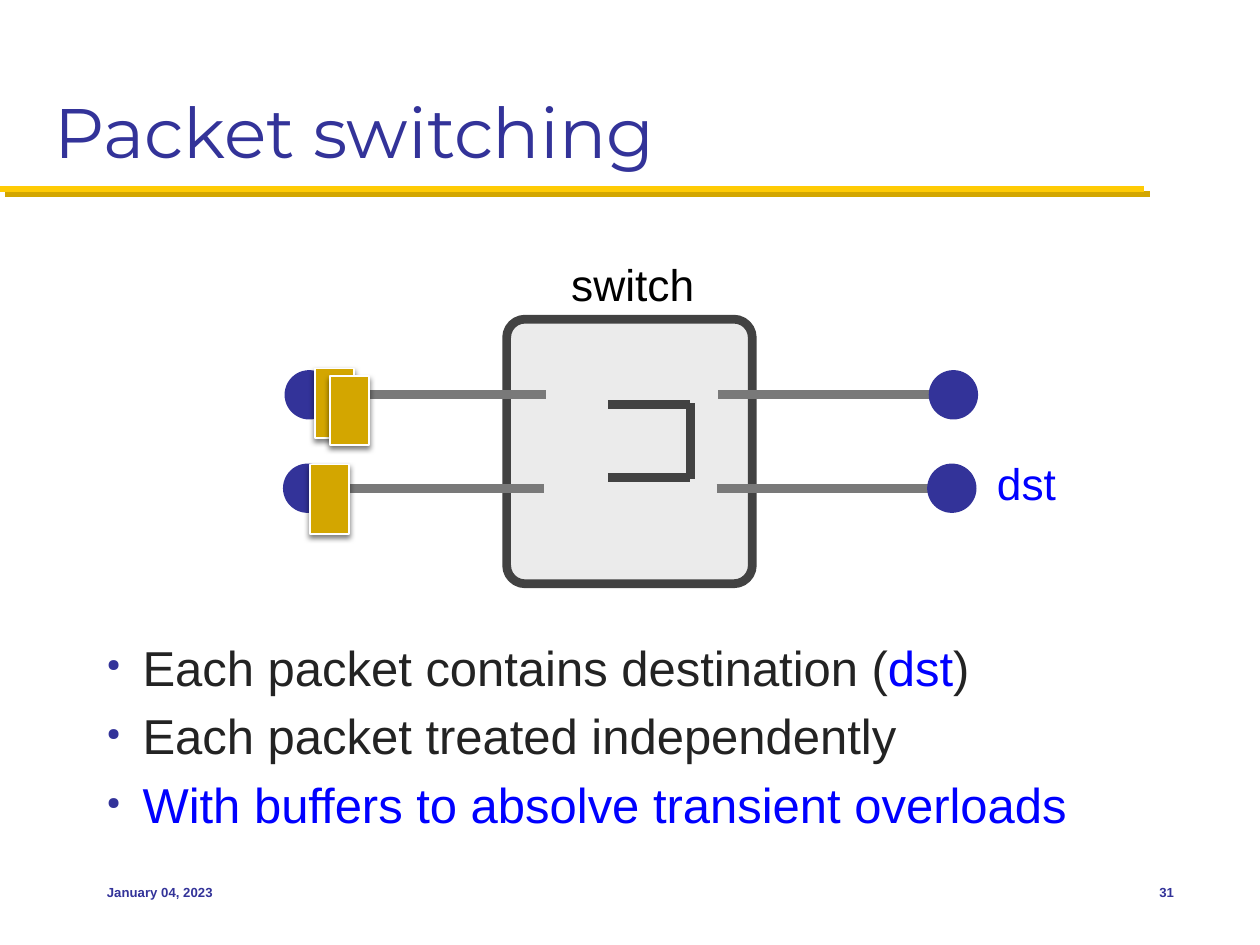
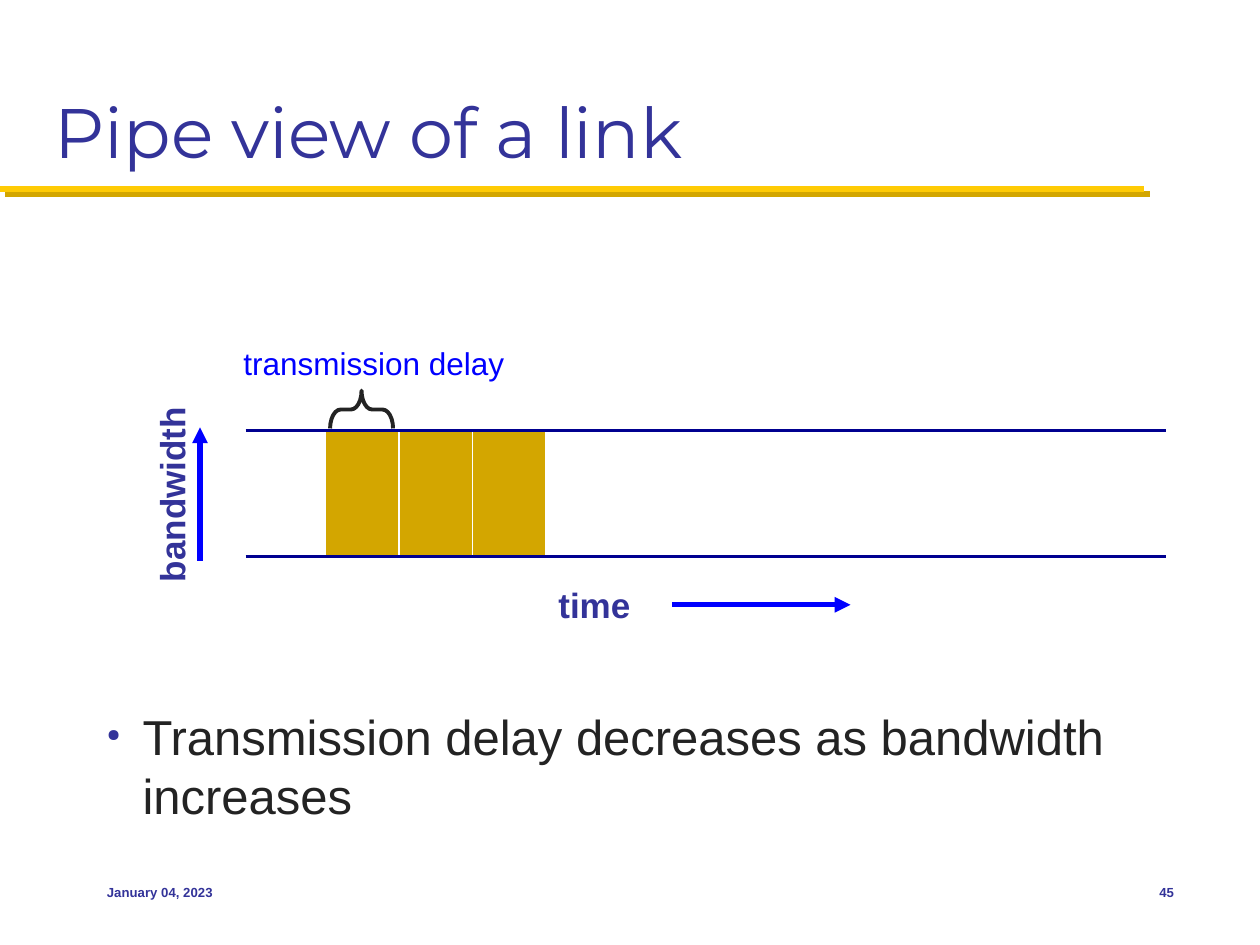
"""Build two networking slides: packet switching and the pipe view of a link."""
from dataclasses import dataclass, field
from typing import Any, NamedTuple, Optional

from lxml.etree import SubElement
from pptx import Presentation
from pptx.dml.color import RGBColor
from pptx.enum.shapes import MSO_CONNECTOR, MSO_SHAPE
from pptx.enum.text import MSO_ANCHOR, PP_ALIGN
from pptx.oxml.ns import qn
from pptx.util import Inches, Length, Pt

COLORS = {
    "title": "333399", "body": "232323", "accent": "0000FF", "black": "000000",
    "white": "FFFFFF", "band": "FFCB05", "packet": "D3A600", "link": "797979",
    "frame": "424242", "switch": "EBEBEB", "pipe": "000090",
}
WIDTH, HEIGHT = Inches(10), Inches(7.5)
COLS, ROWS = 120, 90
BODY_ROW, BODY_ROW_PITCH = 60.1, 6.6


class Box(NamedTuple):
    """Position and size in grid columns and rows."""
    col: float
    row: float
    cols: float
    rows: float


class Shadow(NamedTuple):
    """Outer shadow: colour, opacity in percent, blur and distance in points, angle."""
    color: str
    alpha: int
    blur: float
    dist: float
    angle: int


class Run(NamedTuple):
    """Piece of bullet text in one colour."""
    text: str
    color: str = "body"


@dataclass
class Line:
    """Straight line between two grid points."""
    start: tuple[float, float]
    end: tuple[float, float]
    color: str
    width: float
    arrow: bool = False
    shadow: Optional[Shadow] = None


@dataclass
class Block:
    """Preset shape with its fill, outline and shadow."""
    kind: MSO_SHAPE
    box: Box
    fill: Optional[str] = None
    line: Optional[str] = None
    width: float = 1
    adj: list[float] = field(default_factory=list)
    rotation: float = 0
    shadow: Optional[Shadow] = None


@dataclass
class Label:
    """Single-line text box."""
    text: str
    box: Box
    size: float
    color: str = "title"
    bold: bool = False
    rotation: float = 0
    inset: tuple[float, float] = (1.2, 0.6)
    anchor: MSO_ANCHOR = MSO_ANCHOR.TOP
    align: PP_ALIGN = PP_ALIGN.LEFT


BAND = Line((0, 18), (109, 18), "band", 3.5, shadow=Shadow("packet", 100, 0, 4.2, 45))
PACKET_SHADOW = Shadow("black", 50, 3, 2, 90)


def x(cols: float) -> Length:
    """Turn grid columns into a length."""
    return Length(round(WIDTH * cols / COLS))


def y(rows: float) -> Length:
    """Turn grid rows into a length."""
    return Length(round(HEIGHT * rows / ROWS))


def place(box: Box) -> tuple[Length, Length, Length, Length]:
    """Turn a grid box into left, top, width and height."""
    return x(box.col), y(box.row), x(box.cols), y(box.rows)


def rgb(name: str) -> RGBColor:
    """Look up a colour by its name."""
    return RGBColor.from_string(COLORS[name])


def fmt(obj: Any, values: dict[str, Any]) -> None:
    """Set every attribute listed in a dict."""
    for name, value in values.items():
        setattr(obj, name, value)


def style_run(r: Any, size: float, color: str, bold: bool = False,
              font: str = "Arial") -> None:
    """Format the font of a run."""
    fmt(r.font, {"name": font, "size": Pt(size), "bold": bold})
    r.font.color.rgb = rgb(color)


def style_frame(tf: Any, anchor: MSO_ANCHOR, inset: tuple[float, float],
                wrap: bool) -> None:
    """Set wrapping, anchor and margins of a text frame."""
    dx, dy = x(inset[0]), y(inset[1])
    fmt(tf, {"word_wrap": wrap, "vertical_anchor": anchor, "margin_left": dx,
             "margin_right": dx, "margin_top": dy, "margin_bottom": dy})


def set_shadow(shape: Any, shadow: Optional[Shadow]) -> None:
    """Replace the theme shadow by the given one or by none."""
    sp_pr = shape._element.spPr
    effects = sp_pr.find(qn("a:effectLst"))
    if effects is None:
        effects = SubElement(sp_pr, qn("a:effectLst"))
    if shadow:
        outer = SubElement(effects, qn("a:outerShdw"), {
            "blurRad": str(Pt(shadow.blur)), "dist": str(Pt(shadow.dist)),
            "dir": str(shadow.angle * 60000), "algn": "ctr", "rotWithShape": "0"})
        clr = SubElement(outer, qn("a:srgbClr"), {"val": COLORS[shadow.color]})
        SubElement(clr, qn("a:alpha"), {"val": str(shadow.alpha * 1000)})


def add_line(s: Any, line: Line) -> None:
    """Draw a straight line, with an arrowhead if asked for."""
    (x1, y1), (x2, y2) = line.start, line.end
    c = s.shapes.add_connector(MSO_CONNECTOR.STRAIGHT, x(x1), y(y1), x(x2), y(y2))
    c.line.color.rgb = rgb(line.color)
    c.line.width = Pt(line.width)
    if line.arrow:
        SubElement(c.line._get_or_add_ln(), qn("a:tailEnd"), {"type": "triangle"})
    set_shadow(c, line.shadow)


def add_block(s: Any, block: Block) -> None:
    """Draw a preset shape."""
    sp = s.shapes.add_shape(block.kind, *place(block.box))
    sp.shadow.inherit = False
    sp.rotation = block.rotation
    for i, value in enumerate(block.adj):
        sp.adjustments[i] = value
    if block.fill:
        sp.fill.solid()
        sp.fill.fore_color.rgb = rgb(block.fill)
    else:
        sp.fill.background()
    if block.line:
        sp.line.color.rgb = rgb(block.line)
        sp.line.width = Pt(block.width)
    else:
        sp.line.fill.background()
    set_shadow(sp, block.shadow)


def add_label(s: Any, label: Label) -> None:
    """Write a label."""
    sp = s.shapes.add_textbox(*place(label.box))
    sp.rotation = label.rotation
    style_frame(sp.text_frame, label.anchor, label.inset, False)
    p = sp.text_frame.paragraphs[0]
    p.alignment = label.align
    r = p.add_run()
    r.text = label.text
    style_run(r, label.size, label.color, label.bold)


def add_bullets(s: Any, first_row: float, bullets: list[list[Run]]) -> None:
    """Write the bulleted text down to the foot of the body area."""
    sp = s.shapes.add_textbox(*place(Box(9, first_row, 104, 79 - first_row)))
    tf = sp.text_frame
    style_frame(tf, MSO_ANCHOR.TOP, (1.2, 0.6), True)
    for i, runs in enumerate(bullets):
        p = tf.add_paragraph() if i else tf.paragraphs[0]
        fmt(p, {"line_spacing": 1.0, "space_before": Pt(5.6 if i else 0)})
        p_pr = p._p.get_or_add_pPr()
        indent = x(3.4)
        p_pr.set("marL", str(indent))
        p_pr.set("indent", str(-indent))
        clr = SubElement(p_pr, qn("a:buClr"))
        SubElement(clr, qn("a:srgbClr"), {"val": COLORS["title"]})
        SubElement(p_pr, qn("a:buSzPct"), {"val": "35000"})
        SubElement(p_pr, qn("a:buChar"), {"char": "●"})
        for run in runs:
            r = p.add_run()
            r.text = run.text
            style_run(r, 28, run.color)


def add_slide(prs: Any, title: str, number: int) -> Any:
    """Add a slide with the shared band, title, date and number."""
    s = prs.slides.add_slide(prs.slide_layouts[5])
    add_line(s, BAND)
    sp = s.shapes.title
    fmt(sp, dict(zip(("left", "top", "width", "height"), place(Box(4, 2, 112, 15)))))
    style_frame(sp.text_frame, MSO_ANCHOR.BOTTOM, (1.2, 0.6), True)
    p = sp.text_frame.paragraphs[0]
    p.alignment = PP_ALIGN.LEFT
    r = p.add_run()
    r.text = title
    style_run(r, 40, "title", font="Montserrat")
    for text, box, align in (("January 04, 2023", Box(9, 82, 25, 6), PP_ALIGN.LEFT),
                             (str(number), Box(105, 82, 8, 6), PP_ALIGN.RIGHT)):
        add_label(s, Label(text, box, 7.5, bold=True, anchor=MSO_ANCHOR.MIDDLE,
                           align=align))
    return s


def packet_switching(prs: Any) -> None:
    """Draw a switch with two hosts on each side and queued packets."""
    s = add_slide(prs, "Packet switching", 31)
    add_block(s, Block(MSO_SHAPE.ROUNDED_RECTANGLE, Box(48.25, 30.4, 23.4, 25.2),
                       "switch", "frame", 5, [0.075]))
    d = 4.7
    for row, shift in ((37.6, 0), (46.5, -0.15)):
        for start, end, host in ((30, 52, 29.45), (68.4, 90.2, 90.8)):
            add_line(s, Line((start + shift, row), (end + shift, row), "link", 5))
            add_block(s, Block(MSO_SHAPE.OVAL,
                               Box(host + shift - d / 2, row - d / 2, d, d), "title"))
    for col, row in ((30, 35.1), (31.4, 35.8), (29.5, 44.25)):
        add_block(s, Block(MSO_SHAPE.RECTANGLE, Box(col, row, 3.75, 6.6), "packet",
                           "white", 1, shadow=PACKET_SHADOW))
    for text, box, color in (("switch", Box(53.9, 24, 13.5, 6), "black"),
                             ("dst", Box(94.45, 43, 7.5, 6), "accent")):
        add_label(s, Label(text, box, 25.3, color, inset=(0.5, 0.5),
                           anchor=MSO_ANCHOR.MIDDLE))
    left, right, top, bottom = 57.9, 65.75, 38.5, 45.5
    for start, end in (((right, bottom + 0.1), (right, top - 0.1)),
                       ((left, top), (right, top)),
                       ((left, bottom), (right, bottom))):
        add_line(s, Line(start, end, "frame", 5))
    add_bullets(s, BODY_ROW, [
        [Run("Each packet contains destination ("), Run("dst", "accent"), Run(")")],
        [Run("Each packet treated independently")],
        [Run("With buffers to absolve transient overloads", "accent")],
    ])


def pipe_view(prs: Any) -> None:
    """Draw a link as a pipe with bandwidth and time as its axes."""
    s = add_slide(prs, "Pipe view of a link", 45)
    top, bottom, first, width = 41, 53, 31, 7
    for i in range(3):
        add_block(s, Block(MSO_SHAPE.RECTANGLE,
                           Box(first + i * width, top, width, bottom - top),
                           "packet", "white", 0.75))
    for row in (top, bottom):
        add_line(s, Line((23.4, row), (111, row), "pipe", 2.25))
    for start, end in (((64, 57.6), (81, 57.6)), ((19.05, 53.4), (19.05, 40.7))):
        add_line(s, Line(start, end, "accent", 3, arrow=True))
    add_block(s, Block(MSO_SHAPE.RIGHT_BRACE, Box(32.64, 36, 3.6, 6), line="body",
                       width=2.25, adj=[0.28, 0.5], rotation=270))
    for label in (
        Label("time", Box(52, 55, 9.4, 5.25), 20, bold=True),
        Label("bandwidth", Box(6.75, 44.4, 19.2, 5.25), 20, bold=True, rotation=270),
        Label("transmission delay", Box(22, 32.2, 27.5, 4.8), 18, "accent"),
    ):
        add_label(s, label)
    add_bullets(s, BODY_ROW + BODY_ROW_PITCH, [
        [Run("Transmission delay decreases as bandwidth increases")]])


def main() -> None:
    """Build and save the presentation."""
    prs = Presentation()
    fmt(prs, {"slide_width": WIDTH, "slide_height": HEIGHT})
    packet_switching(prs)
    pipe_view(prs)
    prs.save("out.pptx")


if __name__ == "__main__":
    main()
